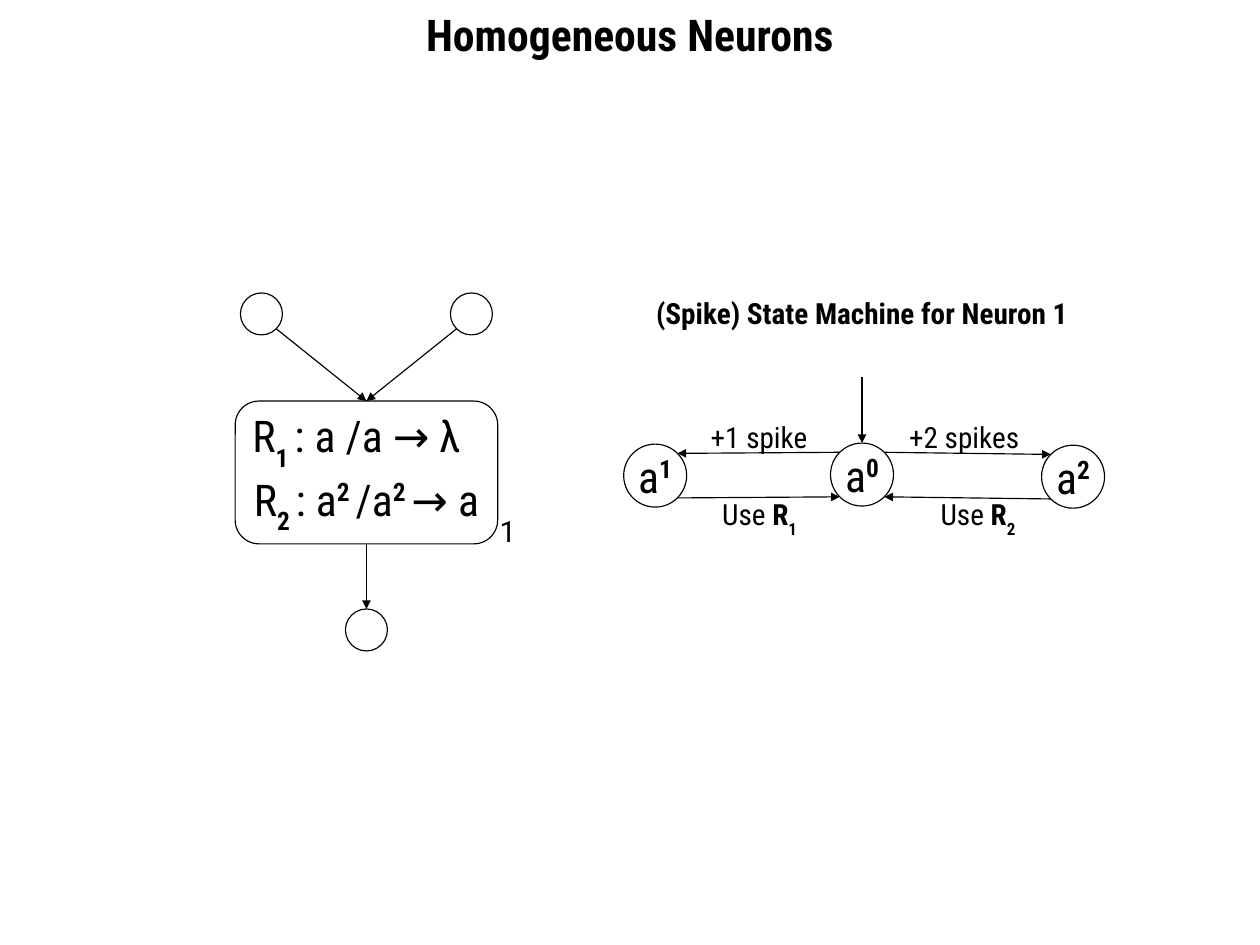
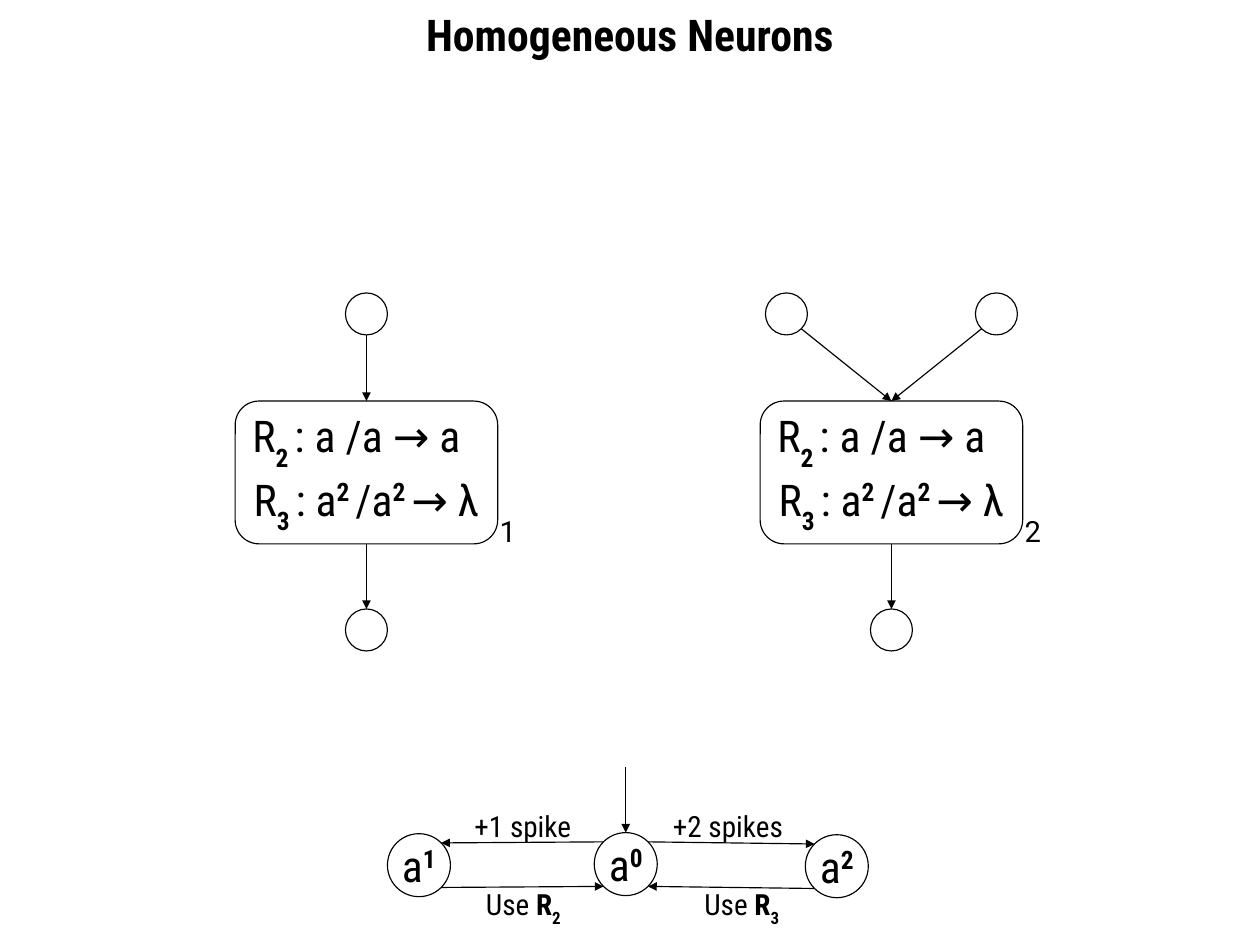
from dataclasses import dataclass
from math import sqrt
from typing import Any, NamedTuple

from lxml import etree
from pptx import Presentation
from pptx.dml.color import RGBColor
from pptx.enum.shapes import MSO_CONNECTOR, MSO_SHAPE
from pptx.enum.text import MSO_ANCHOR, PP_ALIGN
from pptx.oxml.ns import qn
from pptx.util import Inches, Pt

OVAL, ROUNDED = MSO_SHAPE.OVAL, MSO_SHAPE.ROUNDED_RECTANGLE
STRAIGHT = MSO_CONNECTOR.STRAIGHT
LEFT, CENTER = PP_ALIGN.LEFT, PP_ALIGN.CENTER
TOP_ANCHOR, MIDDLE_ANCHOR = MSO_ANCHOR.TOP, MSO_ANCHOR.MIDDLE
TOP_SIDE, BOTTOM_SIDE = 0, 2

BLACK = RGBColor(0x00, 0x00, 0x00)
CONDENSED, REGULAR = "Roboto Condensed", "Roboto"
BIG, SMALL = 30, 20
LINE_WIDTH = Pt(0.79)

# Grid of 12 columns by 9 rows with square cells
COLUMNS, ROWS = 12, 9
CELL = Inches(1)

TITLE = "Homogeneous Neurons"
NEURON_WIDTH, NEURON_HEIGHT = 2.5, 1.36
NEURON_MIDDLE, INPUT_ROW, OUTPUT_ROW = 4.5, 2.99, 6.0
CELL_RADIUS, STATE_RADIUS = 0.2, 0.3
INPUT_SPREAD = 1.0
FIRST_NEURON, SECOND_NEURON = 3.49, 8.49


class Point(NamedTuple):
    x: float
    y: float

    def shift(self, dx: float, dy: float) -> "Point":
        return Point(self.x + dx, self.y + dy)


class Span(NamedTuple):
    text: str
    bold: bool = False
    baseline: int = 0


class State(NamedTuple):
    spikes: str
    dx: float
    dy: float


class Label(NamedTuple):
    line: list[Span]
    dx: float
    dy: float
    width: float
    height: float


@dataclass
class Neuron:
    number: str
    column: float
    inputs: int
    rules: tuple[str, str]
    results: tuple[str, str]


@dataclass
class Machine:
    start: Point
    rules: tuple[str, str]


@dataclass
class NeuronPage:
    neurons: list[Neuron]
    machine: Machine
    heading: str = ""


STATES = [State("0", 0, 0), State("1", -1.97, 0.01), State("2", 2.01, 0.02)]
PAGES = [
    NeuronPage(
        [Neuron("1", FIRST_NEURON, 2, ("1", "2"), ("λ", "a"))],
        Machine(Point(8.21, 4.52), ("1", "2")),
        "(Spike) State Machine for Neuron 1",
    ),
    NeuronPage(
        [
            Neuron("1", FIRST_NEURON, 1, ("2", "3"), ("a", "λ")),
            Neuron("2", SECOND_NEURON, 2, ("2", "3"), ("a", "λ")),
        ],
        Machine(Point(5.96, 8.23), ("2", "3")),
    ),
]


def cells(count: float) -> int:
    return round(count * CELL)


def sub(text: str) -> Span:
    return Span(text, True, -33000)


def sup(text: str) -> Span:
    return Span(text, True, 33000)


def apply(target: Any, values: dict[str, Any]) -> None:
    for name, value in values.items():
        setattr(target, name, value)


def write(frame: Any, lines: list[list[Span]], size: int, aligns: list[Any],
          font: str = CONDENSED) -> None:
    for index, (line, align) in enumerate(zip(lines, aligns)):
        para = frame.paragraphs[0] if index == 0 else frame.add_paragraph()
        para.alignment = align
        for span in line:
            run = para.add_run()
            run.text = span.text
            apply(run.font, {"name": font, "size": Pt(size), "bold": span.bold})
            run.font.color.rgb = BLACK
            if span.baseline:
                run.font._element.set("baseline", str(span.baseline))


def add_text(page: Any, corner: Point, width: float, height: float, line: list[Span],
             size: int = SMALL, align: Any = LEFT, font: str = CONDENSED) -> None:
    box = page.shapes.add_textbox(*map(cells, (*corner, width, height)))
    apply(box.text_frame, {"word_wrap": True, "vertical_anchor": TOP_ANCHOR})
    write(box.text_frame, [line], size, [align], font)


def add_outline(page: Any, kind: Any, center: Point, width: float, height: float) -> Any:
    """Add an unfilled shape around its center."""
    corner = center.shift(-width / 2, -height / 2)
    shape = page.shapes.add_shape(kind, *map(cells, (*corner, width, height)))
    shape.shadow.inherit = False
    shape.fill.background()
    shape.line.color.rgb = BLACK
    shape.line.width = LINE_WIDTH
    apply(shape.text_frame, {"word_wrap": False, "vertical_anchor": MIDDLE_ANCHOR})
    return shape


def add_circle(page: Any, center: Point, radius: float) -> Any:
    return add_outline(page, OVAL, center, 2 * radius, 2 * radius)


def add_arrow(page: Any, start: Point, end: Point) -> Any:
    arrow = page.shapes.add_connector(STRAIGHT, *map(cells, (*start, *end)))
    arrow.line.color.rgb = BLACK
    arrow.line.width = LINE_WIDTH
    etree.SubElement(arrow.line._get_or_add_ln(), qn("a:tailEnd"), type="triangle")
    etree.SubElement(arrow._element.spPr, qn("a:effectLst"))
    return arrow


def add_neuron(page: Any, neuron: Neuron) -> None:
    center = Point(neuron.column, NEURON_MIDDLE)
    top = center.shift(0, -NEURON_HEIGHT / 2)
    bottom = center.shift(0, NEURON_HEIGHT / 2)
    box = add_outline(page, ROUNDED, center, NEURON_WIDTH, NEURON_HEIGHT)
    first, second = neuron.rules
    forget, fire = neuron.results
    write(box.text_frame, [
        [Span("R"), sub(f"{first} "), Span(f": a /a → {forget}")],
        [Span("R"), sub(f"{second} "), Span(": a"), sup("2 "), Span("/a"), sup("2 "),
         Span(f"→ {fire}")],
    ], BIG, [LEFT, CENTER])
    add_text(page, bottom.shift(1.17, -0.34), 0.39, 0.47, [Span(neuron.number)],
             font=REGULAR)

    diagonal = CELL_RADIUS / sqrt(2)
    for side in ((0,) if neuron.inputs == 1 else (-1, 1)):
        source = Point(center.x + side * INPUT_SPREAD, INPUT_ROW)
        add_circle(page, source, CELL_RADIUS)
        edge = source.shift(-side * diagonal, diagonal if side else CELL_RADIUS)
        add_arrow(page, edge, top).end_connect(box, TOP_SIDE)

    target = Point(center.x, OUTPUT_ROW)
    output = add_circle(page, target, CELL_RADIUS)
    arrow = add_arrow(page, bottom, target.shift(0, -CELL_RADIUS))
    arrow.begin_connect(box, BOTTOM_SIDE)
    arrow.end_connect(output, TOP_SIDE)


def add_machine(page: Any, machine: Machine) -> None:
    start = machine.start
    diagonal = STATE_RADIUS / sqrt(2)
    for state in STATES:
        center = start.shift(state.dx, state.dy)
        circle = add_circle(page, center, STATE_RADIUS)
        write(circle.text_frame, [[Span("a"), sup(state.spikes)]], BIG, [CENTER])
        if not state.dx:
            entry = add_arrow(page, start.shift(0, -0.93), start.shift(0, -STATE_RADIUS))
            entry.end_connect(circle, TOP_SIDE)
            continue
        inward = diagonal if state.dx < 0 else -diagonal
        add_arrow(page, start.shift(-inward, -diagonal), center.shift(inward, -diagonal))
        add_arrow(page, center.shift(inward, diagonal), start.shift(-inward, diagonal))

    left_rule, right_rule = machine.rules
    labels = [
        Label([Span("+1 spike")], -1.54, -0.58, 1.2, 0.47),
        Label([Span("+2 spikes")], 0.35, -0.58, 1.35, 0.47),
        Label([Span("Use "), Span("R", True), sub(left_rule)], -1.43, 0.16, 1, 0.53),
        Label([Span("Use "), Span("R", True), sub(right_rule)], 0.65, 0.16, 1, 0.53),
    ]
    for label in labels:
        add_text(page, start.shift(label.dx, label.dy), label.width, label.height, label.line)


def add_page(deck: Any, content: NeuronPage) -> None:
    page = deck.slides.add_slide(deck.slide_layouts[6])
    add_text(page, Point(0, 0.02), COLUMNS, 0.65, [Span(TITLE, True)], BIG, CENTER)
    for neuron in content.neurons:
        add_neuron(page, neuron)
    add_machine(page, content.machine)
    if content.heading:
        add_text(page, Point(6.15, 2.76), 4.2, 0.47, [Span(content.heading, True)])


def main() -> None:
    deck = Presentation()
    apply(deck, {"slide_width": cells(COLUMNS), "slide_height": cells(ROWS)})
    for content in PAGES:
        add_page(deck, content)
    deck.save("out.pptx")


if __name__ == "__main__":
    main()
